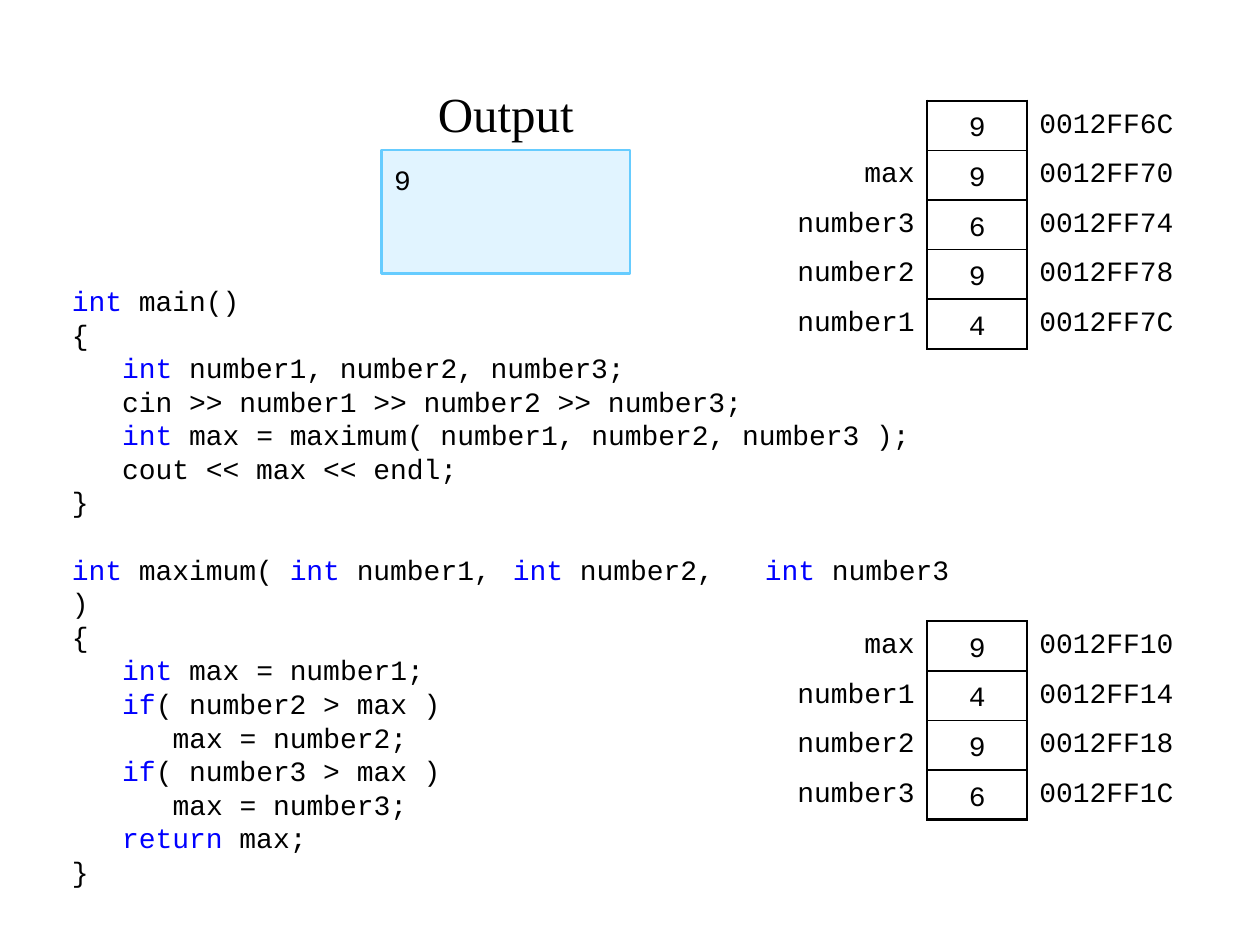
from dataclasses import dataclass

from lxml import etree
from pptx import Presentation
from pptx.dml.color import RGBColor
from pptx.enum.shapes import MSO_SHAPE
from pptx.enum.text import MSO_ANCHOR, MSO_AUTO_SIZE, PP_ALIGN
from pptx.oxml.ns import qn
from pptx.util import Inches, Pt

LEFT, CENTER, RIGHT = PP_ALIGN.LEFT, PP_ALIGN.CENTER, PP_ALIGN.RIGHT
TOP, MIDDLE = MSO_ANCHOR.TOP, MSO_ANCHOR.MIDDLE
NO_AUTOFIT = MSO_AUTO_SIZE.NONE
RECTANGLE = MSO_SHAPE.RECTANGLE


@dataclass(frozen=True)
class Theme:
    ink: str = "000000"
    keyword: str = "0000FF"
    output_fill: str = "E1F4FF"
    output_line: str = "66CCFF"
    code_font: str = "Courier New"
    heading_font: str = "Times New Roman"
    code_size: float = 16
    heading_size: float = 28
    frame_width: float = 1.5
    divider_width: float = 1


THEME = Theme()
ROW_HEIGHT = 1.97 / 5
MEMORY_LEFT = 6.18
MEMORY_COLUMNS = (1.18, 0.79, 1.38)
VALUE_LEFT, VALUE_WIDTH = 7.56, 0.39
INDENT = 0.4
PARAMETER_TABS = (3.52, 5.3)

# (indent level, text); keywords stand between bars
MAIN_CODE = [
    (0, "|int| main()"),
    (0, "{"),
    (1, "|int |number1, number2, number3;"),
    (1, "cin >> number1 >> number2 >> number3;"),
    (1, "|int| max = maximum( number1, number2, number3 );"),
    (1, "cout << max << endl;"),
    (0, "}"),
]
MAXIMUM_CODE = [
    (0, "|int| maximum( |int |number1,\t|int |number2,\t|int |number3 )"),
    (0, "{"),
    (1, "|int| max = number1;"),
    (1, "|if|( number2 > max )"),
    (2, "max = number2;"),
    (1, "|if|( number3 > max )"),
    (2, "max = number3;"),
    (1, "|return| max;"),
    (0, "}"),
]
MAIN_MEMORY = [
    ("", "9", "0012FF6C"),
    ("max", "9", "0012FF70"),
    ("number3", "6", "0012FF74"),
    ("number2", "9", "0012FF78"),
    ("number1", "4", "0012FF7C"),
]
MAXIMUM_MEMORY = [
    ("max", "9", "0012FF10"),
    ("number1", "4", "0012FF14"),
    ("number2", "9", "0012FF18"),
    ("number3", "6", "0012FF1C"),
]


def add_run(paragraph, text, color=THEME.ink, font=THEME.code_font, size=THEME.code_size):
    run = paragraph.add_run()
    run.text = text
    run.font.name = font
    run.font.size = Pt(size)
    run.font.color.rgb = RGBColor.from_string(color)


def set_frame(frame, anchor, margins):
    """Margins are left, top, right and bottom in inches."""
    sides = ("margin_left", "margin_top", "margin_right", "margin_bottom")
    formats = dict(zip(sides, map(Inches, margins)))
    formats |= {"word_wrap": True, "auto_size": NO_AUTOFIT, "vertical_anchor": anchor}
    for name, value in formats.items():
        setattr(frame, name, value)


def add_label(slide, box, text, space_before=0, **font):
    frame = slide.shapes.add_textbox(*map(Inches, box)).text_frame
    set_frame(frame, MIDDLE, (0.05, 0.05, 0.05, 0.05))
    paragraph = frame.paragraphs[0]
    paragraph.alignment = CENTER
    paragraph.space_before = Pt(space_before)
    add_run(paragraph, text, **font)


def add_code_line(paragraph, level, text, gap):
    paragraph.alignment = LEFT
    paragraph.line_spacing = Pt(19.2)
    paragraph.space_before = Pt(gap)
    paragraph.space_after = Pt(0)
    properties = paragraph._p.get_or_add_pPr()
    properties.set("marL", str(Inches(INDENT * level)))
    properties.set("indent", "0")
    etree.SubElement(properties, qn("a:buNone"))
    if "\t" in text:
        tabs = etree.SubElement(properties, qn("a:tabLst"))
        for position in PARAMETER_TABS:
            etree.SubElement(tabs, qn("a:tab"), pos=str(Inches(position)), algn="l")
    for index, piece in enumerate(text.split("|")):
        if piece:
            add_run(paragraph, piece, THEME.keyword if index % 2 else THEME.ink)


def fill_code(body):
    body.left, body.top, body.width, body.height = map(Inches, (0.47, 2.18, 7.28, 4.72))
    frame = body.text_frame
    set_frame(frame, TOP, (0.1, 0.07, 0.1, 0.05))
    for index, (level, text) in enumerate(MAIN_CODE + MAXIMUM_CODE):
        paragraph = frame.add_paragraph() if index else frame.paragraphs[0]
        add_code_line(paragraph, level, text, 19.2 if index == len(MAIN_CODE) else 0)


def add_output(slide):
    screen = slide.shapes.add_shape(RECTANGLE, *map(Inches, (3.03, 1.19, 1.97, 0.98)))
    screen.shadow.inherit = False
    screen.fill.solid()
    screen.fill.fore_color.rgb = RGBColor.from_string(THEME.output_fill)
    screen.line.color.rgb = RGBColor.from_string(THEME.output_line)
    screen.line.width = Pt(1.5)
    set_frame(screen.text_frame, TOP, (0.1, 0.1, 0.1, 0.08))
    paragraph = screen.text_frame.paragraphs[0]
    paragraph.alignment = LEFT
    add_run(paragraph, "9")
    add_label(slide, (3.23, 0.6, 1.57, 0.59), "Output",
              font=THEME.heading_font, size=THEME.heading_size)


def set_borders(cell, widths):
    """Draw the sides named in widths (L, R, T, B) and clear the others."""
    properties = cell._tc.get_or_add_tcPr()
    for index, side in enumerate("LRTB"):
        border = etree.Element(qn(f"a:ln{side}"))
        if side in widths:
            border.set("w", str(Pt(widths[side])))
            fill = etree.SubElement(border, qn("a:solidFill"))
            etree.SubElement(fill, qn("a:srgbClr"), val=THEME.ink)
        else:
            etree.SubElement(border, qn("a:noFill"))
        properties.insert(index, border)


def format_cell(cell, text, alignment, borders):
    cell.fill.background()
    cell.vertical_anchor = MIDDLE
    cell.margin_left = cell.margin_right = Inches(0.1)
    cell.margin_top = cell.margin_bottom = Inches(0.04)
    if text:
        paragraph = cell.text_frame.paragraphs[0]
        paragraph.alignment = alignment
        add_run(paragraph, text)
    set_borders(cell, borders)


def add_memory(slide, top, variables):
    """Table of names and addresses, with each value in a box over its cell."""
    size = (sum(MEMORY_COLUMNS), ROW_HEIGHT * len(variables))
    table = slide.shapes.add_table(len(variables), len(MEMORY_COLUMNS),
                                   *map(Inches, (MEMORY_LEFT, top, *size))).table
    table.first_row = table.horz_banding = False
    for column, width in zip(table.columns, MEMORY_COLUMNS):
        column.width = Inches(width)
    frame, divider = THEME.frame_width, THEME.divider_width
    last = len(variables) - 1
    for row, (name, value, address) in enumerate(variables):
        value_borders = {"L": frame, "R": frame,
                         "T": divider if row else frame,
                         "B": divider if row < last else frame}
        format_cell(table.cell(row, 0), name, RIGHT, {"R": frame})
        format_cell(table.cell(row, 1), "", CENTER, value_borders)
        format_cell(table.cell(row, 2), address, LEFT, {"L": frame})
        add_label(slide, (VALUE_LEFT, top + row * ROW_HEIGHT, VALUE_WIDTH, ROW_HEIGHT),
                  value, space_before=4.5)


def main():
    deck = Presentation()
    deck.slide_width, deck.slide_height = Inches(10), Inches(7.5)
    slide = deck.slides.add_slide(deck.slide_layouts[1])
    title = slide.shapes.title._element
    title.getparent().remove(title)
    fill_code(slide.placeholders[1])
    add_output(slide)
    add_memory(slide, 0.8, MAIN_MEMORY)
    add_memory(slide, 4.93, MAXIMUM_MEMORY)
    deck.save("out.pptx")


if __name__ == "__main__":
    main()
